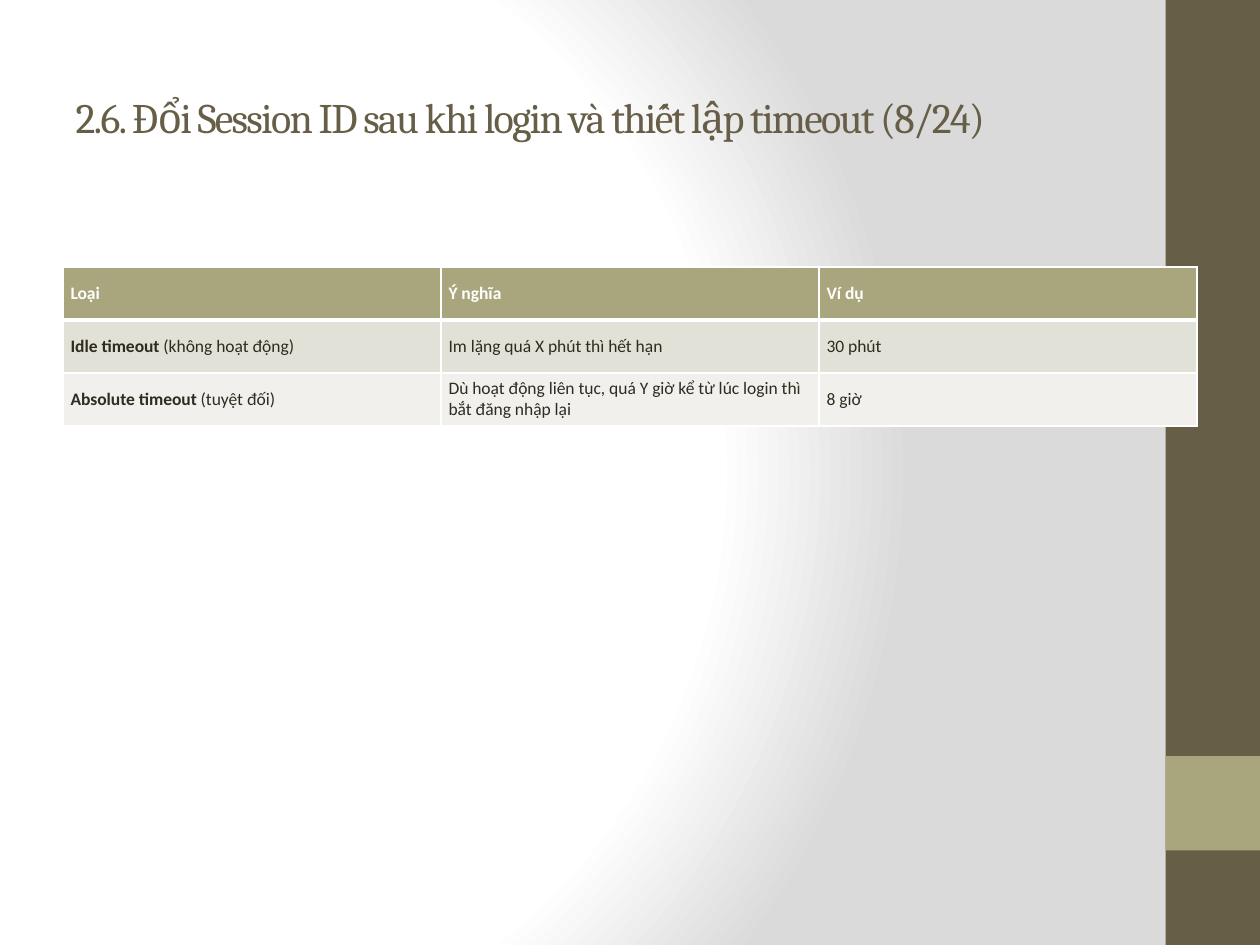
from dataclasses import dataclass

from lxml import etree
from pptx import Presentation
from pptx.dml.color import RGBColor
from pptx.enum import shapes, text
from pptx.oxml import ns
from pptx.util import Inches, Pt


@dataclass(frozen=True)
class Theme:
    dark: str = "675E47"
    accent: str = "A9A57C"
    ink: str = "2F2B20"
    white: str = "FFFFFF"
    backdrop: str = "DADADA"
    bands: tuple = ("E2E1D7", "F1F0EC")
    title_font: str = "Cambria"
    body_font: str = "Calibri"
    title_size: int = 24
    body_size: int = 10


theme = Theme()


def write(paragraph, words, font, size, color, bold=False, spacing=None):
    """Add one formatted run; spacing is in hundredths of a point."""
    run = paragraph.add_run()
    run.text = words
    run.font.name = font
    run.font.size = Pt(size)
    run.font.bold = bold
    run.font.color.rgb = RGBColor.from_string(color)
    if spacing is not None:
        run.font._element.set("spc", str(spacing))


def add_child(parent, tag, **attributes):
    child = etree.SubElement(parent, ns.qn(tag))
    for name, value in attributes.items():
        child.set(name, str(value))
    return child


prs = Presentation()
prs.slide_width, prs.slide_height = Inches(10), Inches(7.5)
slide = prs.slides.add_slide(prs.slide_layouts[5])

# Background: a white glow from the left that fades to grey
slide.background.fill.gradient()
gradient = slide.element.find(".//" + ns.qn("a:gradFill"))
for part in list(gradient):
    gradient.remove(part)
stops = add_child(gradient, "a:gsLst")
for percent, color in ((0, theme.white), (75, theme.white), (100, theme.backdrop)):
    stop = add_child(stops, "a:gs", pos=percent * 1000)
    add_child(stop, "a:srgbClr", val=color)
glow = add_child(gradient, "a:path", path="circle")
add_child(glow, "a:fillToRect", l=20000, t=50000, r=100000, b=50000)

# Side bar with its accent square
for top, height, color in ((0, 7.5, theme.dark), (6, 0.75, theme.accent)):
    bar = slide.shapes.add_shape(shapes.MSO_SHAPE.RECTANGLE, Inches(9.25),
                                 Inches(top), Inches(0.75), Inches(height))
    bar.shadow.inherit = False
    bar.fill.solid()
    bar.fill.fore_color.rgb = RGBColor.from_string(color)
    bar.line.fill.background()

# Title
title = slide.shapes.title
title.left, title.top = Inches(0.5), Inches(0.3)
title.width, title.height = Inches(8.33), Inches(1.25)
title.text_frame.word_wrap = True
title.text_frame.auto_size = text.MSO_AUTO_SIZE.NONE
title.text_frame.vertical_anchor = text.MSO_ANCHOR.MIDDLE
heading = title.text_frame.paragraphs[0]
heading.alignment = text.PP_ALIGN.LEFT
write(heading, "2.6. Đổi Session ID sau khi login và thiết lập timeout (8/24)",
      theme.title_font, theme.title_size, theme.dark, spacing=-100)

# Timeout table: each cell is a bold part and a regular part
timeouts = [
    [("Loại", ""), ("Ý nghĩa", ""), ("Ví dụ", "")],
    [("Idle timeout", " (không hoạt động)"),
     ("", "Im lặng quá X phút thì hết hạn"), ("", "30 phút")],
    [("Absolute timeout", " (tuyệt đối)"),
     ("", "Dù hoạt động liên tục, quá Y giờ kể từ lúc login thì bắt đăng nhập lại"),
     ("", "8 giờ")],
]
table = slide.shapes.add_table(3, 3, Inches(0.5), Inches(2.12),
                               Inches(9), Inches(1.26)).table
for row, entries in enumerate(timeouts):
    table.rows[row].height = Inches(0.42)
    fill = theme.bands[row - 1] if row else theme.accent
    ink = theme.ink if row else theme.white
    widths = {"L": 1, "R": 1, "T": 3 if row == 1 else 1, "B": 1 if row else 3}
    for column, (strong, plain) in enumerate(entries):
        cell = table.cell(row, column)
        cell.margin_left = cell.margin_right = Inches(0.06)
        cell.margin_top = cell.margin_bottom = Inches(0.03)
        cell.vertical_anchor = text.MSO_ANCHOR.MIDDLE
        for side, width in widths.items():
            border = add_child(cell._tc.tcPr, f"a:ln{side}", w=Pt(width))
            add_child(add_child(border, "a:solidFill"), "a:srgbClr", val=theme.white)
        cell.fill.solid()
        cell.fill.fore_color.rgb = RGBColor.from_string(fill)
        for words, bold in ((strong, True), (plain, False)):
            if words:
                write(cell.text_frame.paragraphs[0], words, theme.body_font,
                      theme.body_size, ink, bold=bold)

prs.save("out.pptx")
